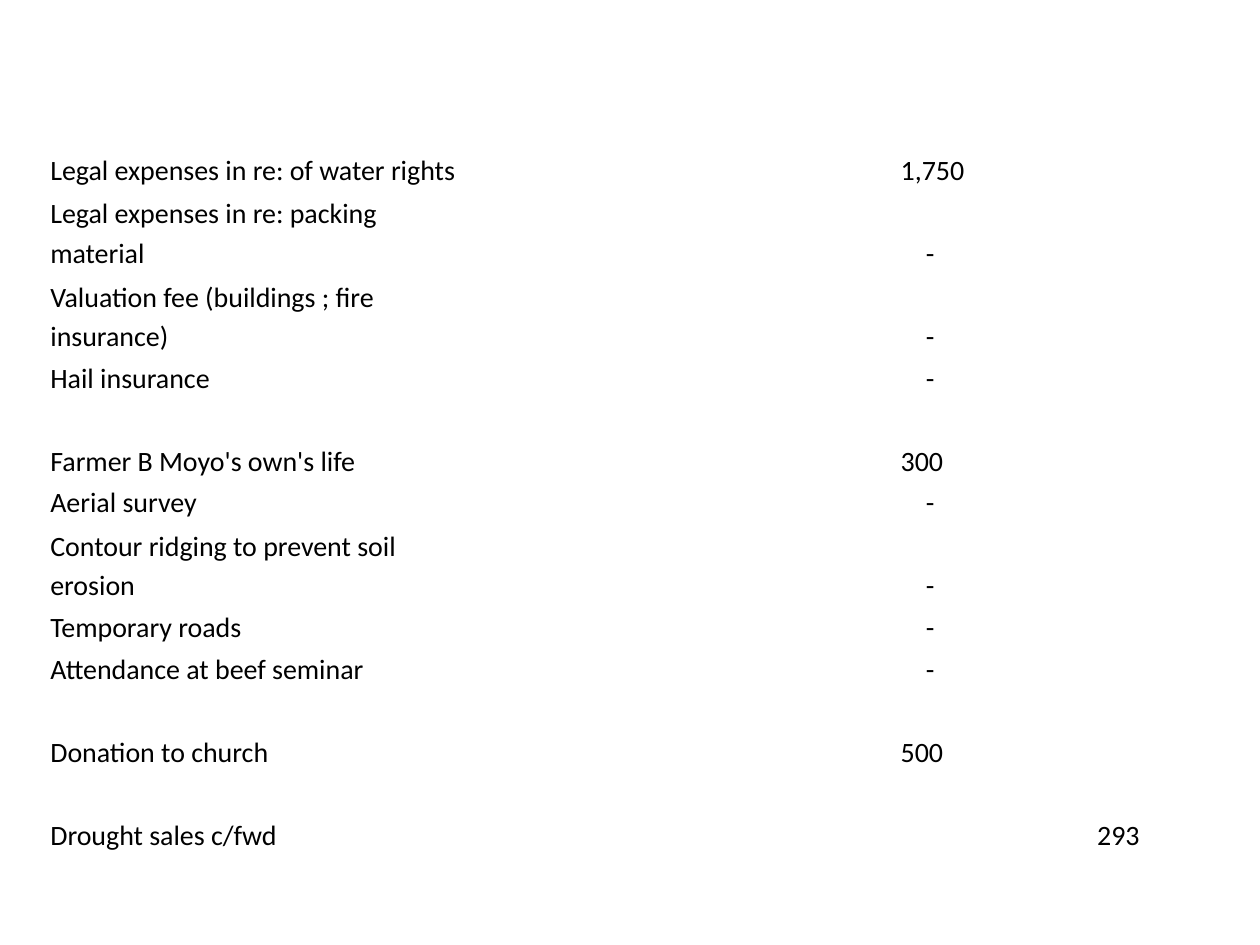
"""Build a slide with a table of farm expenses."""
from dataclasses import dataclass

from pptx import Presentation
from pptx.dml.color import RGBColor
from pptx.enum.text import MSO_ANCHOR
from pptx.util import Inches, Pt


@dataclass(frozen=True)
class Theme:
    font: str = "Calibri"
    size: Pt = Pt(16)
    ink: RGBColor = RGBColor(0, 0, 0)


theme = Theme()
widths = [3.37, 0.94, 0.8, 0.82, 0.82, 0.78, 0.78, 0.94]
low, tall = 0.33, 0.66
debit, credit = 5, 7
items = [
    ("Legal expenses in re: of water rights", debit, "1,750", tall),
    ("Legal expenses in re: packing material", debit, "-", tall),
    ("Valuation fee (buildings ; fire insurance)", debit, "-", tall),
    ("Hail insurance", debit, "-", low),
    ("Farmer B Moyo's own's life", debit, "300", tall),
    ("Aerial survey", debit, "-", low),
    ("Contour ridging to prevent soil erosion", debit, "-", tall),
    ("Temporary roads", debit, "-", low),
    ("Attendance at beef seminar", debit, "-", low),
    ("Donation to church", debit, "500", tall),
    ("Drought sales c/fwd", credit, "293", tall),
]

deck = Presentation()
deck.slide_width, deck.slide_height = Inches(10), Inches(7.5)
slide = deck.slides.add_slide(deck.slide_layouts[6])

frame = slide.shapes.add_table(
    len(items), len(widths), Inches(0.33), Inches(0.83), Inches(9.25), Inches(5.92)
)
table = frame.table
table.first_row = table.horz_banding = False
for column, width in zip(table.columns, widths):
    column.width = Inches(width)

for row, (label, place, amount, height) in zip(table.rows, items):
    row.height = Inches(height)
    texts = {0: label, place: amount}
    for index, cell in enumerate(row.cells):
        text = texts.get(index, "")
        cell.fill.background()
        cell.vertical_anchor = MSO_ANCHOR.BOTTOM
        cell.margin_left = Inches(0.27 if text == "-" else 0.07)
        cell.margin_right = Inches(0.07)
        cell.margin_top = cell.margin_bottom = 0
        if text:
            cell.text_frame.text = text
            line = cell.text_frame.paragraphs[0]
            line.line_spacing = 1.15
            font = line.runs[0].font
            font.name, font.size = theme.font, theme.size
            font.color.rgb = theme.ink

deck.save("out.pptx")
